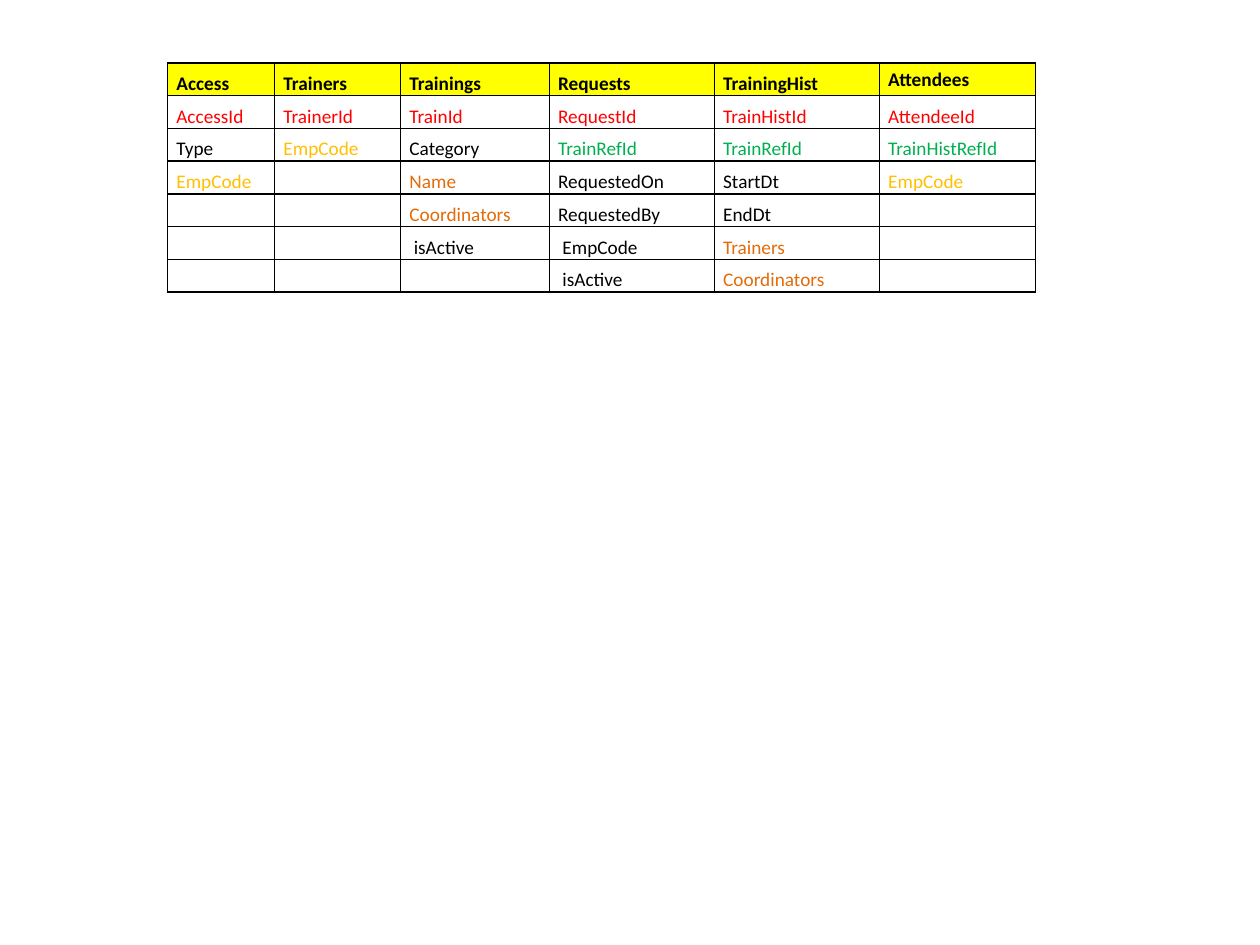
from lxml import etree
from pptx import Presentation
from pptx import util as u
from pptx.dml.color import RGBColor
from pptx.enum import text
from pptx.oxml.ns import qn

BLACK, RED, GOLD, GREEN, ORANGE = "000000", "FF0000", "FFC000", "00B050", "E26B0A"
HEADER_FILL = "FFFF00"
ENTITIES = [
    ("Access", 0.85, [("AccessId", RED), ("Type", BLACK), ("EmpCode", GOLD)]),
    ("Trainers", 1, [("TrainerId", RED), ("EmpCode", GOLD)]),
    ("Trainings", 1.18, [("TrainId", RED), ("Category", BLACK), ("Name", ORANGE),
                         ("Coordinators", ORANGE), ("\u00a0isActive", BLACK)]),
    ("Requests", 1.31, [("RequestId", RED), ("TrainRefId", GREEN), ("RequestedOn", BLACK),
                        ("RequestedBy", BLACK), ("\u00a0EmpCode", BLACK), ("\u00a0isActive", BLACK)]),
    ("TrainingHist", 1.31, [("TrainHistId", RED), ("TrainRefId", GREEN), ("StartDt", BLACK),
                            ("EndDt", BLACK), ("Trainers", ORANGE), ("Coordinators", ORANGE)]),
    ("Attendees", 1.24, [("AttendeeId", RED), ("TrainHistRefId", GREEN), ("EmpCode", GOLD)]),
]
LEFT, TOP, ROW_HEIGHT = 1.33, 0.5, 0.26
FONT = {"name": "Calibri", "size": u.Pt(11)}
CELL = {"margin_left": u.Inches(0.07), "margin_right": u.Inches(0.07),
        "margin_top": 0, "margin_bottom": 0, "vertical_anchor": text.MSO_ANCHOR.BOTTOM}


def color(value):
    return RGBColor.from_string(value)


def apply(target, values):
    for key, value in values.items():
        setattr(target, key, value)


def add_borders(cell):
    properties = cell._tc.get_or_add_tcPr()
    for side in ("a:lnL", "a:lnR", "a:lnT", "a:lnB"):
        border = etree.SubElement(properties, qn(side), w=str(u.Pt(1)))
        fill = etree.SubElement(border, qn("a:solidFill"))
        etree.SubElement(fill, qn("a:srgbClr"), val=BLACK)


def write_field(cell, label, ink, bold):
    paragraph = cell.text_frame.paragraphs[0]
    if label:
        run = paragraph.add_run()
        run.text = label
        apply(run.font, {**FONT, "bold": bold})
        run.font.color.rgb = color(ink)
    else:
        etree.SubElement(paragraph._p, qn("a:endParaRPr"), sz="1100")


deck = Presentation()
apply(deck, {"slide_width": u.Inches(10), "slide_height": u.Inches(7.5)})
slide = deck.slides.add_slide(deck.slide_layouts[6])

row_count = 1 + max(len(fields) for _, _, fields in ENTITIES)
total_width = sum(width for _, width, _ in ENTITIES)
schema = slide.shapes.add_table(row_count, len(ENTITIES), u.Inches(LEFT), u.Inches(TOP),
                                u.Inches(total_width), u.Inches(row_count * ROW_HEIGHT)).table
apply(schema, {"first_row": False, "horz_banding": False})
for row in schema.rows:
    row.height = u.Inches(ROW_HEIGHT)

for column, (entity, width, fields) in enumerate(ENTITIES):
    schema.columns[column].width = u.Inches(width)
    entries = [(entity, BLACK)] + fields
    entries += [("", BLACK)] * (row_count - len(entries))
    for row, (label, ink) in enumerate(entries):
        cell = schema.cell(row, column)
        apply(cell, CELL)
        add_borders(cell)
        write_field(cell, label, ink, row == 0)
        if row == 0:
            cell.fill.solid()
            cell.fill.fore_color.rgb = color(HEADER_FILL)
        else:
            cell.fill.background()

schema.cell(0, len(ENTITIES) - 1).vertical_anchor = text.MSO_ANCHOR.MIDDLE
deck.save("out.pptx")
